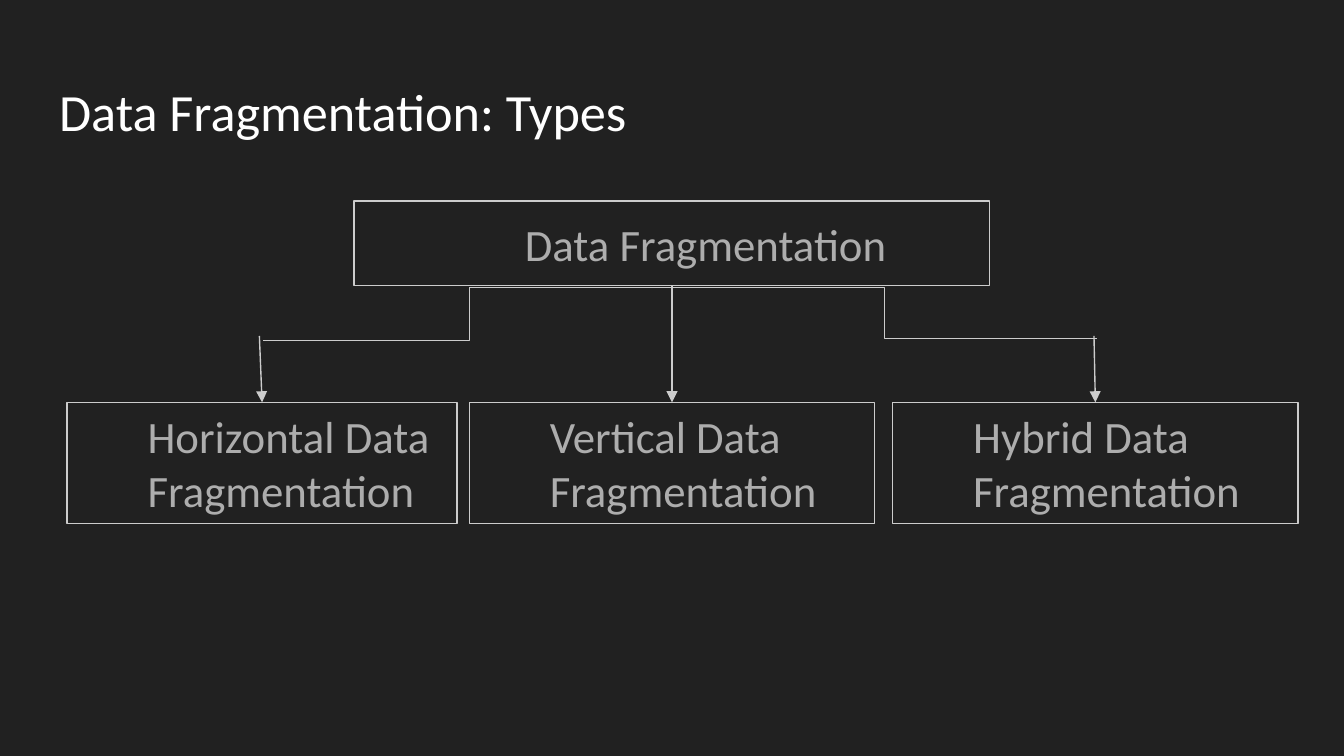
from dataclasses import dataclass
from typing import Optional

from lxml.etree import SubElement
from pptx import Presentation
from pptx.dml.color import RGBColor
from pptx.enum.shapes import MSO_CONNECTOR as Link, MSO_SHAPE as Preset
from pptx.enum.text import MSO_ANCHOR as Anchor, MSO_AUTO_SIZE as AutoSize, PP_ALIGN as Align
from pptx.oxml.ns import qn
from pptx.util import Inches, Pt

COLORS = {"back": "212121", "title": "FFFFFF", "text": "ADADAD", "line": "CCCCCC"}
FONT = "Calibri"
COLUMNS, ROWS = 100, 56.25  # square grid cells of a tenth of an inch
CELL = Inches(0.1)
INSET = 1
LINE_WIDTH = 0.75
TYPE_TOP, TYPE_HEIGHT = 29.94, 9


@dataclass
class Node:
    text: str
    left: float
    top: float
    width: float
    height: float
    align: Align = Align.LEFT


@dataclass
class Connection:
    start: tuple[float, float]
    end: tuple[float, float]
    kind: Link = Link.STRAIGHT
    arrow: bool = False
    source: Optional[int] = None  # node whose bottom it leaves
    target: Optional[int] = None  # node whose top it reaches


NODES = [
    Node("Data Fragmentation", 26.35, 14.95, 47.3, 6.3, Align.CENTER),
    Node("Horizontal Data\nFragmentation", 5, TYPE_TOP, 29, TYPE_HEIGHT),
    Node("Vertical Data\nFragmentation", 34.92, TYPE_TOP, 30.16, TYPE_HEIGHT),
    Node("Hybrid Data\nFragmentation", 66.42, TYPE_TOP, 30.16, TYPE_HEIGHT),
]
CONNECTIONS = [
    Connection((50, 21.25), (50, TYPE_TOP), arrow=True, source=0, target=2),
    Connection((50.3, 21.4), (19.6, 25.35), Link.ELBOW),
    Connection((50, 21.4), (81.6, 25.2), Link.ELBOW),
    Connection((19.3, 25), (19.5, TYPE_TOP), arrow=True, target=1),
    Connection((81.4, 25), (81.5, TYPE_TOP), arrow=True, target=3),
]


def grid(cells: float) -> int:
    return round(cells * CELL)


def rgb(name: str) -> RGBColor:
    return RGBColor.from_string(COLORS[name])


def write(shape, text: str, *, size: float, color: str, align=Align.LEFT,
          anchor=Anchor.TOP, indent: float = 0) -> None:
    frame = shape.text_frame
    frame.word_wrap = True
    frame.auto_size = AutoSize.NONE
    frame.vertical_anchor = anchor
    frame.margin_left = frame.margin_right = grid(INSET)
    frame.margin_top = frame.margin_bottom = grid(INSET)
    frame.text = text
    for para in frame.paragraphs:
        para.alignment = align
        properties = para._p.get_or_add_pPr()
        properties.set("marL", str(grid(indent)))
        properties.set("indent", "0")
        for span in para.runs:
            span.font.name = FONT
            span.font.size = Pt(size)
            span.font.color.rgb = rgb(color)


def style_line(shape) -> None:
    shape.line.color.rgb = rgb("line")
    shape.line.width = Pt(LINE_WIDTH)


def draw_node(page, node: Node):
    box = page.shapes.add_shape(
        Preset.RECTANGLE, grid(node.left), grid(node.top), grid(node.width), grid(node.height))
    box.shadow.inherit = False
    box.fill.background()
    style_line(box)
    write(box, node.text, size=24, color="text", align=node.align,
          anchor=Anchor.MIDDLE, indent=5)
    return box


def draw_connection(page, item: Connection, boxes: list) -> None:
    line = page.shapes.add_connector(
        item.kind, *(grid(value) for value in item.start + item.end))
    style_line(line)
    if item.arrow:
        SubElement(line.line._get_or_add_ln(), qn("a:tailEnd"), type="triangle")
    SubElement(line._element.spPr, qn("a:effectLst"))
    if item.source is not None:
        line.begin_connect(boxes[item.source], 2)
    if item.target is not None:
        line.end_connect(boxes[item.target], 0)


def main() -> None:
    deck = Presentation()
    deck.slide_width, deck.slide_height = grid(COLUMNS), grid(ROWS)
    page = deck.slides.add_slide(deck.slide_layouts[5])
    page.background.fill.solid()
    page.background.fill.fore_color.rgb = rgb("back")

    # Title
    title = page.shapes.title
    title.left, title.top = grid(3.4), grid(4.9)
    title.width, title.height = grid(93.2), grid(6.3)
    write(title, "Data Fragmentation: Types", size=28, color="title")

    # Tree of fragmentation types
    boxes = [draw_node(page, node) for node in NODES]
    for item in CONNECTIONS:
        draw_connection(page, item, boxes)

    deck.save("out.pptx")


if __name__ == "__main__":
    main()
